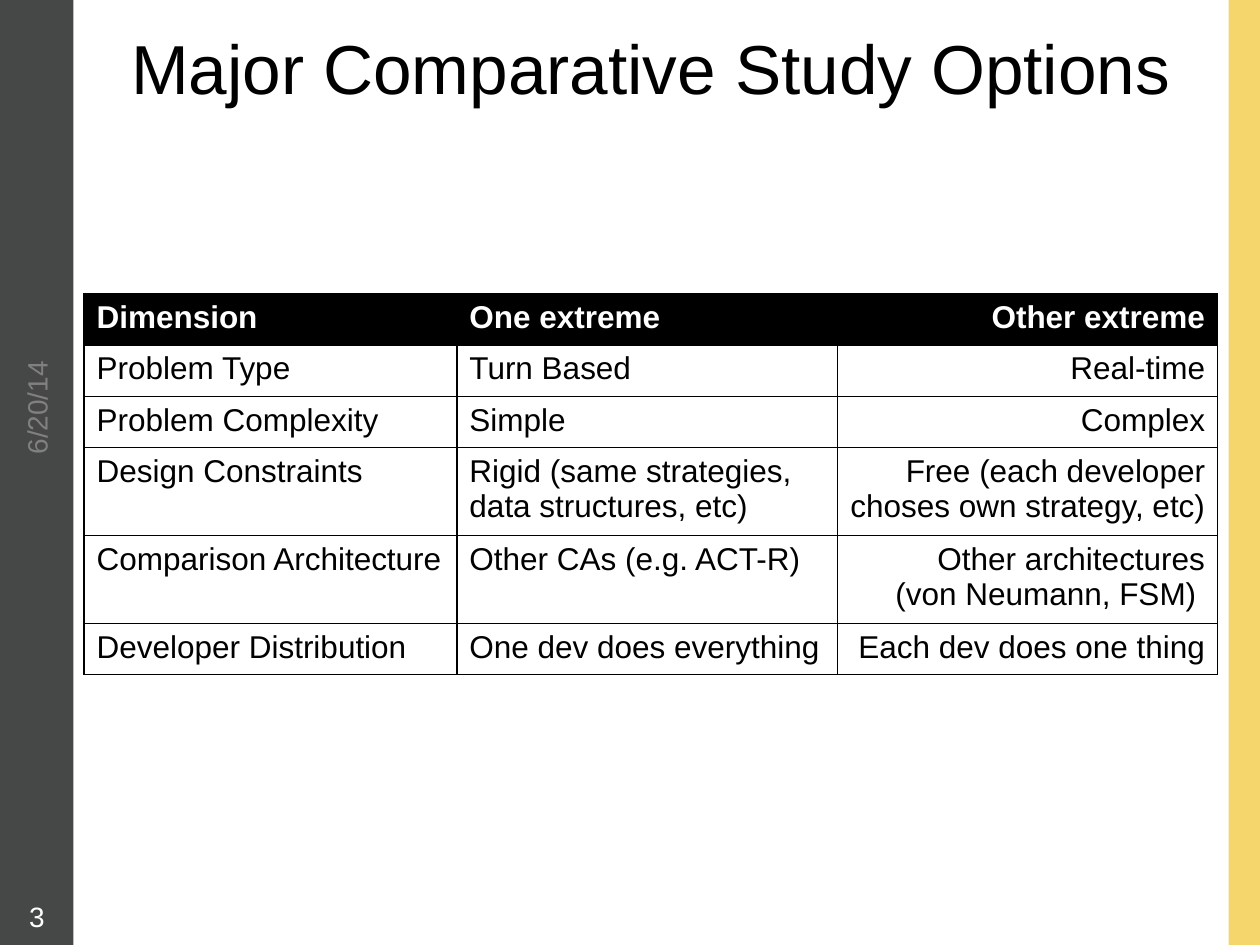
from lxml import etree
from pptx import Presentation
from pptx.dml.color import RGBColor
from pptx.enum.shapes import MSO_SHAPE
from pptx.enum.text import MSO_ANCHOR, MSO_AUTO_SIZE, PP_ALIGN
from pptx.oxml.ns import qn
from pptx.util import Pt

RECTANGLE = MSO_SHAPE.RECTANGLE
MIDDLE, TOP = MSO_ANCHOR.MIDDLE, MSO_ANCHOR.TOP
NO_FIT = MSO_AUTO_SIZE.NONE
LEFT, CENTER, RIGHT = PP_ALIGN.LEFT, PP_ALIGN.CENTER, PP_ALIGN.RIGHT

BLACK = RGBColor(0x00, 0x00, 0x00)
WHITE = RGBColor(0xFF, 0xFF, 0xFF)
CHARCOAL = RGBColor(0x46, 0x48, 0x47)
GOLD = RGBColor(0xF4, 0xD6, 0x6C)
GRAY = RGBColor(0x80, 0x80, 0x80)

SLIDE_WIDTH, SLIDE_HEIGHT = 720, 540
SIDEBAR_WIDTH, STRIPE_WIDTH = 42, 18
ROW_HEIGHT, TALL_ROW_HEIGHT = 29.2, 47.6

COLUMNS = [(213.1, LEFT), (217.4, LEFT), (217.4, RIGHT)]
OPTIONS = [
    ("Dimension", "One extreme", "Other extreme"),
    ("Problem Type", "Turn Based", "Real-time"),
    ("Problem Complexity", "Simple", "Complex"),
    ("Design Constraints", "Rigid (same strategies, data structures, etc)",
     "Free (each developer choses own strategy, etc)"),
    ("Comparison Architecture", "Other CAs (e.g. ACT-R)",
     "Other architectures\n(von Neumann, FSM) "),
    ("Developer Distribution", "One dev does everything", "Each dev does one thing"),
]
TALL_ROWS = (3, 4)
BORDER_WIDTHS = {"a:lnL": 1, "a:lnR": 1, "a:lnT": 0.75, "a:lnB": 0.75}


def write_text(frame, text, align, size, color, bold=False):
    frame.text = text
    font_format = {"name": "Arial", "size": Pt(size), "bold": bold}
    for paragraph in frame.paragraphs:
        paragraph.alignment = align
        for run in paragraph.runs:
            for attribute, value in font_format.items():
                setattr(run.font, attribute, value)
            run.font.color.rgb = color


def add_band(slide, box, color):
    band = slide.shapes.add_shape(RECTANGLE, *map(Pt, box))
    band.shadow.inherit = False
    band.fill.solid()
    band.fill.fore_color.rgb = color
    band.line.fill.background()


def add_label(slide, box, text, align, color, rotation=0):
    label = slide.shapes.add_textbox(*map(Pt, box))
    label.rotation = rotation
    label.text_frame.word_wrap = True
    write_text(label.text_frame, text, align, 16, color)


def add_sidebar(slide, box):
    left, top, width, height = box
    add_band(slide, box, CHARCOAL)
    date_width, label_height = 86.4, 26.6
    date_left = left + (width - date_width) / 2
    add_label(slide, (date_left, top + 210.2, date_width, label_height),
              "6/20/14", LEFT, GRAY, 270)
    add_label(slide, (left + 3.5, top + height - 29.5, 35.3, label_height),
              "3", CENTER, WHITE)


def add_title(slide, box):
    title = slide.shapes.title
    for attribute, value in zip(("left", "top", "width", "height"), box):
        setattr(title, attribute, Pt(value))
    frame_format = {"word_wrap": True, "auto_size": NO_FIT, "vertical_anchor": MIDDLE}
    for attribute, value in frame_format.items():
        setattr(title.text_frame, attribute, value)
    write_text(title.text_frame, "Major Comparative Study Options", CENTER, 39.6, BLACK)


def set_borders(cell):
    properties = cell._tc.get_or_add_tcPr()
    for position, (side, width) in enumerate(BORDER_WIDTHS.items()):
        border = etree.Element(qn(side), w=str(int(Pt(width))))
        fill = etree.SubElement(border, qn("a:solidFill"))
        etree.SubElement(fill, qn("a:srgbClr"), val=str(BLACK))
        properties.insert(position, border)


def add_options_table(slide, box):
    table = slide.shapes.add_table(len(OPTIONS), len(COLUMNS), *map(Pt, box)).table
    for column, (width, _) in zip(table.columns, COLUMNS):
        column.width = Pt(width)
    for row_index, texts in enumerate(OPTIONS):
        is_header = row_index == 0
        is_tall = row_index in TALL_ROWS
        table.rows[row_index].height = Pt(TALL_ROW_HEIGHT if is_tall else ROW_HEIGHT)
        for column_index, (text, (_, align)) in enumerate(zip(texts, COLUMNS)):
            cell = table.cell(row_index, column_index)
            cell.vertical_anchor = TOP
            cell.fill.solid()
            cell.fill.fore_color.rgb = BLACK if is_header else WHITE
            set_borders(cell)
            write_text(cell.text_frame, text, align, 18,
                       WHITE if is_header else BLACK, is_header)


def main():
    presentation = Presentation()
    presentation.slide_width = Pt(SLIDE_WIDTH)
    presentation.slide_height = Pt(SLIDE_HEIGHT)
    slide = presentation.slides.add_slide(presentation.slide_layouts[5])
    add_sidebar(slide, (0, 0, SIDEBAR_WIDTH, SLIDE_HEIGHT))
    add_band(slide, (SLIDE_WIDTH - STRIPE_WIDTH, 0, STRIPE_WIDTH, SLIDE_HEIGHT), GOLD)
    add_title(slide, (48, 1.5, 648, 73.5))
    add_options_table(slide, (48, 168, 648, 212))
    presentation.save("out.pptx")


if __name__ == "__main__":
    main()
